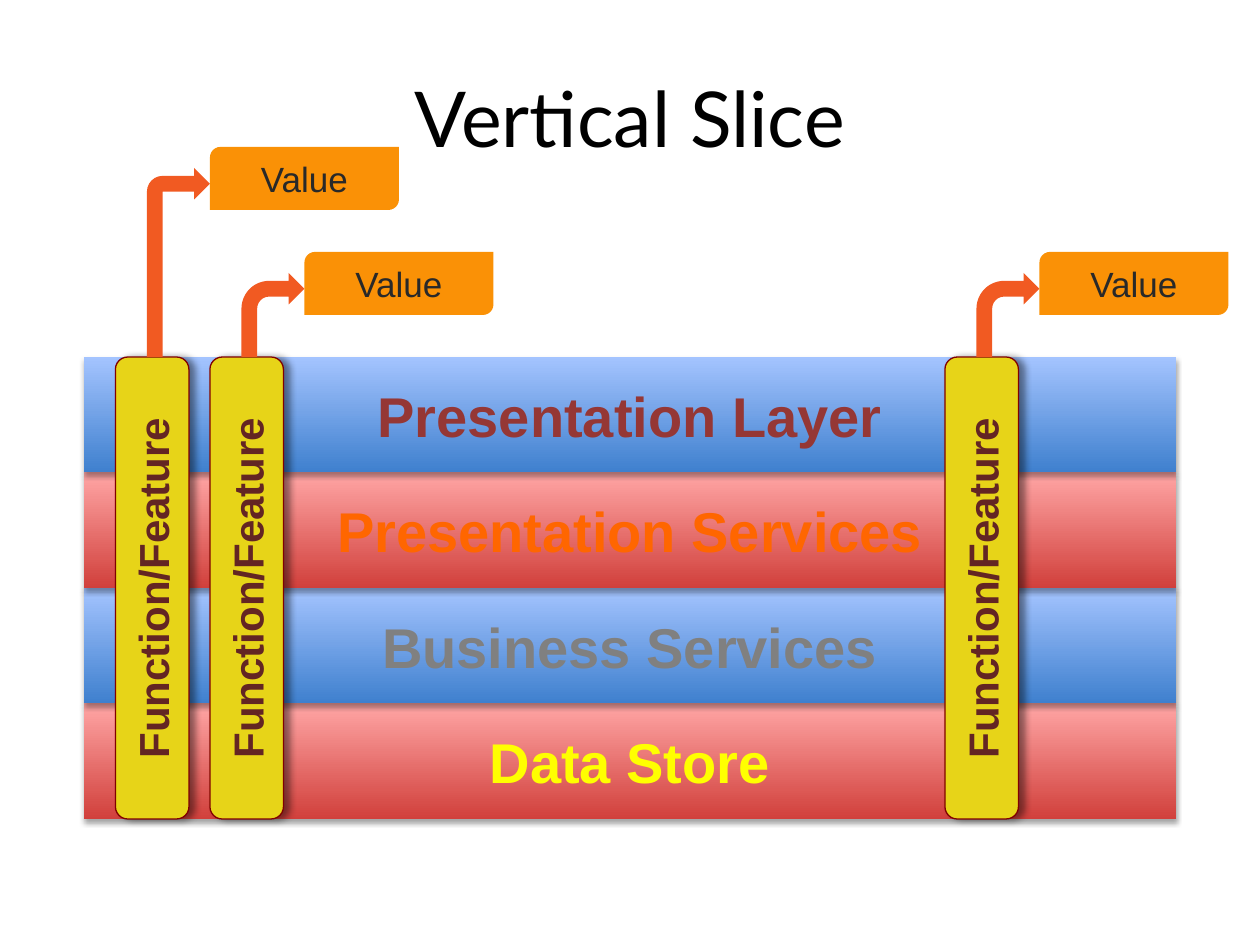
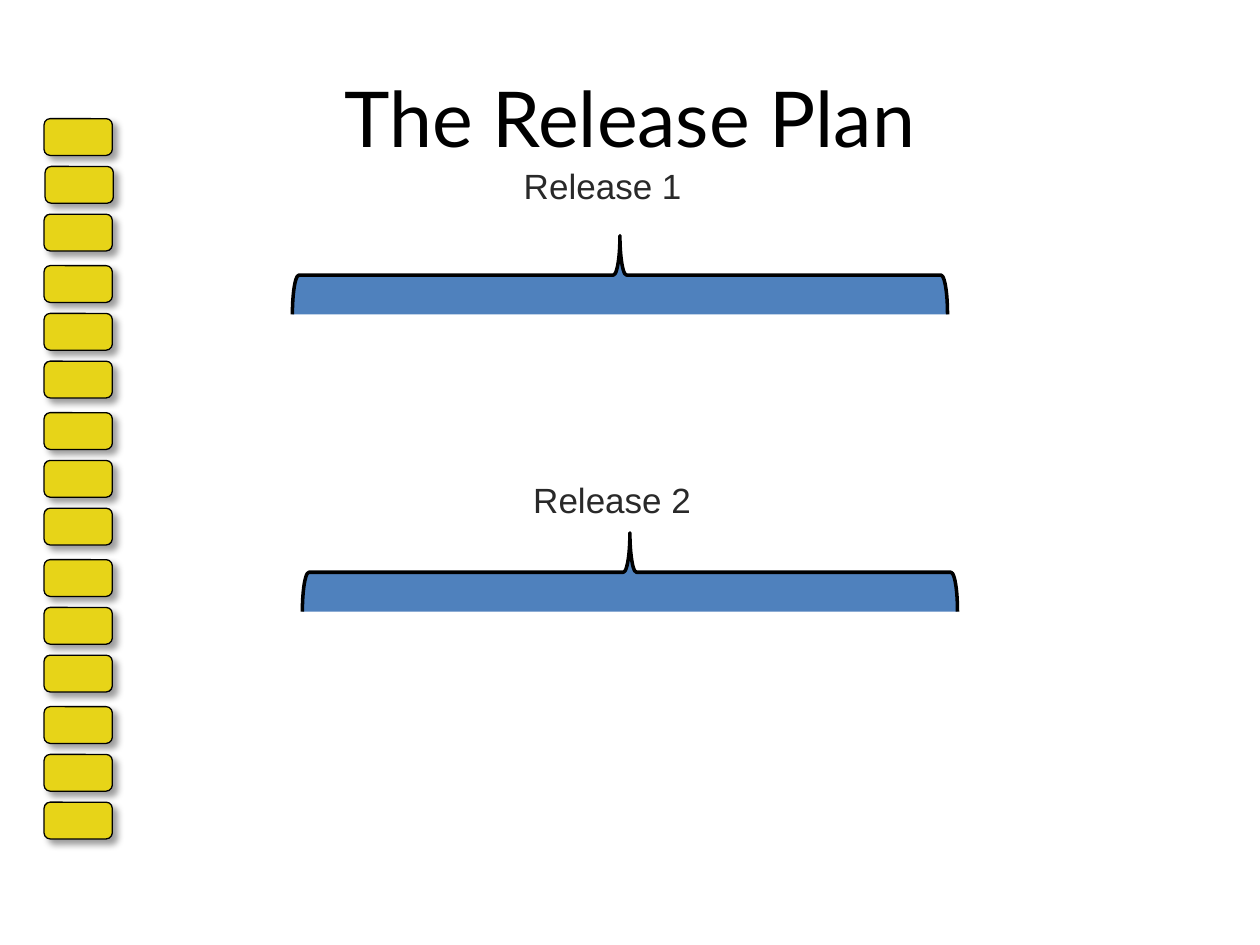
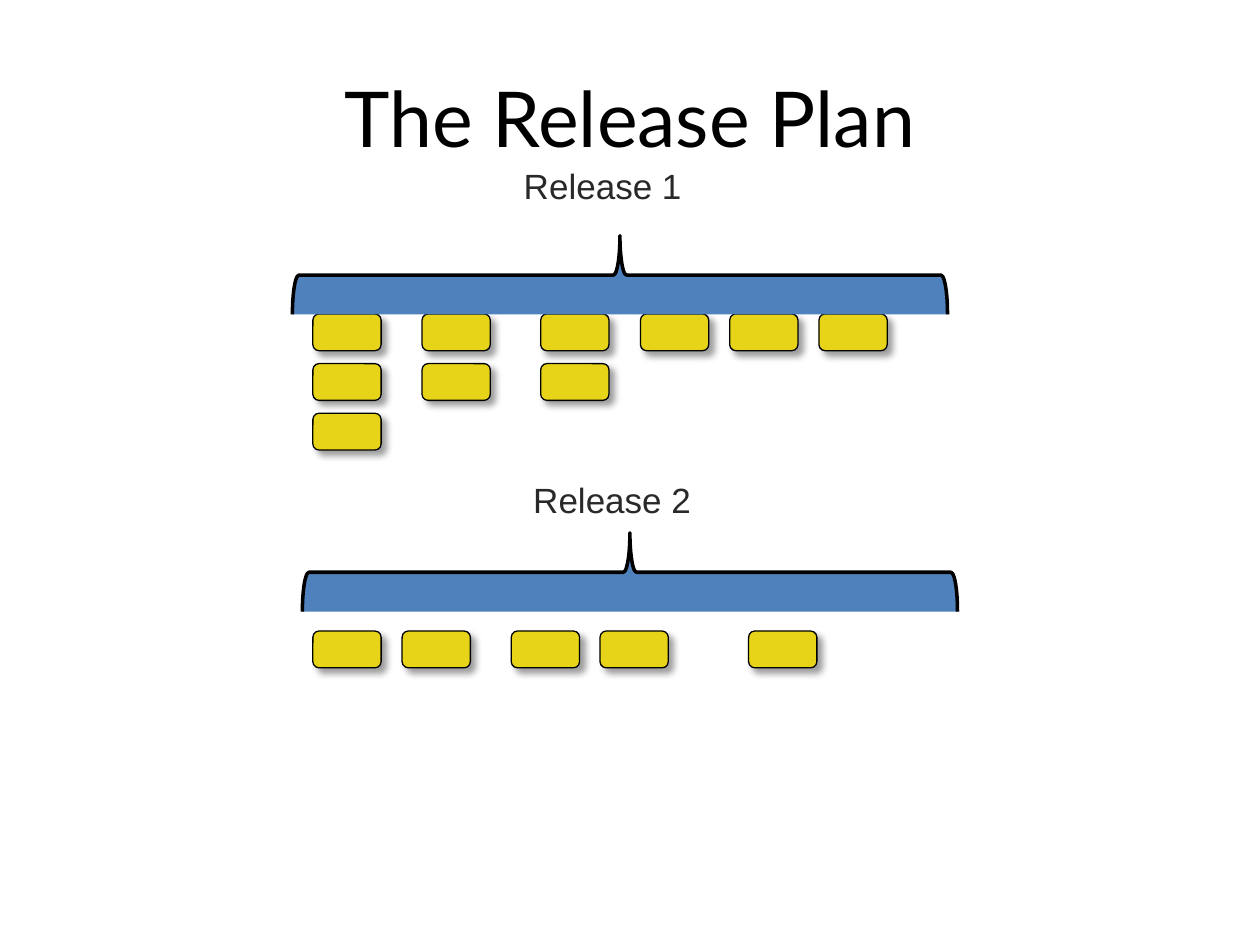
"""Builds three slides on vertical slices and the release plan."""
from lxml.etree import SubElement as Sub
from pptx import Presentation
from pptx.dml.color import RGBColor
from pptx.enum.shapes import MSO_SHAPE as Kind
from pptx.enum.text import MSO_ANCHOR as Anchor, MSO_AUTO_SIZE as Fit, PP_ALIGN as Align
from pptx.oxml.ns import qn
from pptx.util import Inches, Pt

BLACK = RGBColor(0x00, 0x00, 0x00)
INK = RGBColor(0x29, 0x29, 0x29)
GOLD = RGBColor(0xE7, 0xD4, 0x18)
MAROON = RGBColor(0x80, 0x00, 0x00)
BROWN = RGBColor(0x63, 0x25, 0x23)
AMBER = RGBColor(0xFA, 0x91, 0x06)
FLAME = RGBColor(0xF1, 0x5A, 0x22)
STEEL = RGBColor(0x4F, 0x81, 0xBD)
BRICK = RGBColor(0x95, 0x37, 0x35)
ORANGE = RGBColor(0xFF, 0x66, 0x00)
GREY = RGBColor(0x80, 0x80, 0x80)
YELLOW = RGBColor(0xFF, 0xFF, 0x00)
BLUES = RGBColor(0x3F, 0x80, 0xCE), RGBColor(0xA4, 0xC4, 0xFF)
REDS = RGBColor(0xD1, 0x40, 0x3C), RGBColor(0xFF, 0xA6, 0xA5)

COLS, ROWS = 120, 90
CARD_W, CARD_H = 6.5, 3.5


def write(shape, text, size=20, color=INK, font="Arial", bold=False,
          align=Align.CENTER, anchor=Anchor.MIDDLE):
    """Puts formatted text in a shape."""
    frame = shape.text_frame
    frame.word_wrap = True
    frame.vertical_anchor = anchor
    para = frame.paragraphs[0]
    para.alignment = align
    run = para.add_run()
    run.text = text
    run.font.size, run.font.name, run.font.bold = Pt(size), font, bold
    run.font.color.rgb = color
    return frame


class Deck:
    """Holds the style and the current slide."""

    def __init__(self):
        """Opens an empty deck."""
        self.show = Presentation()
        self.show.slide_width, self.show.slide_height = Inches(10), Inches(7.5)
        self.slide = None

    def place(self, col, row, wide, high):
        """Turns grid cells into lengths."""
        dx, dy = self.show.slide_width / COLS, self.show.slide_height / ROWS
        return [round(n) for n in (col * dx, row * dy, wide * dx, high * dy)]

    def page(self, title):
        """Starts a slide with its title."""
        self.slide = self.show.slides.add_slide(self.show.slide_layouts[6])
        write(self.box(6, 3.6, 108, 15), title, size=44, color=BLACK, font="Lato")

    def box(self, *cells):
        """Adds a text box."""
        return self.slide.shapes.add_textbox(*self.place(*cells))

    def shape(self, kind, *cells, fill, line=None, width=0.75, shade=None):
        """Adds a preset shape with a plain or two-tone fill."""
        item = self.slide.shapes.add_shape(kind, *self.place(*cells))
        if isinstance(fill, RGBColor):
            item.fill.solid()
            item.fill.fore_color.rgb = fill
        else:
            item.fill.gradient()
            item.fill.gradient_angle = 90
            for stop, tone in zip(item.fill.gradient_stops, fill):
                stop.color.rgb = tone
        if line is None:
            item.line.fill.background()
        else:
            item.line.color.rgb = line
            item.line.width = Pt(width)
        item.shadow.inherit = False
        if shade:
            self.shade(item, *shade)
        return item

    def shade(self, item, alpha, blur, dist, angle):
        """Gives a shape a soft black shadow."""
        effects = item._element.spPr.find(qn("a:effectLst"))
        outer = Sub(effects, qn("a:outerShdw"), blurRad=str(Pt(blur)),
                    dist=str(Pt(dist)), dir=str(angle * 60000), rotWithShape="0")
        tone = Sub(outer, qn("a:srgbClr"), val=str(BLACK))
        Sub(tone, qn("a:alpha"), val=str(alpha * 1000))

    def layer(self, row, text, color, fill):
        """Adds one wide layer."""
        band = self.shape(Kind.RECTANGLE, 8, row, 104, 11, fill=fill,
                          shade=(35, 3.1, 1.8, 90))
        write(band, text, size=32, color=color, bold=True)

    def feature(self, col):
        """Adds an upright bar across the layers."""
        bar = self.shape(Kind.ROUNDED_RECTANGLE, col, 34, 7, 44, fill=GOLD,
                         line=MAROON, shade=(43, 4, 3, 0))
        frame = write(bar, "Function/Feature", size=24, color=BROWN, bold=True)
        frame.margin_left = frame.margin_right = Inches(0.1)
        frame.margin_top = frame.margin_bottom = Inches(0.1)
        bar._element.txBody.bodyPr.set("vert", "vert270")

    def value(self, col, row, bend):
        """Adds a value tag and the arrow that leads to it from a feature."""
        tag = self.shape(Kind.ROUND_2_DIAG_RECTANGLE, col + 9, row, 18, 6, fill=AMBER)
        write(tag, "Value")
        arrow = self.shape(Kind.BENT_ARROW, col + 3, row + 2, 6, 32 - row, fill=FLAME)
        arrow.adjustments[3] = bend

    def card(self, col, row):
        """Adds a small backlog card."""
        self.shape(Kind.ROUNDED_RECTANGLE, col, row, CARD_W, CARD_H, fill=GOLD,
                   line=BLACK, shade=(38, 4, 4, 45))

    def brace(self, col, row):
        """Adds a brace that opens downwards."""
        item = self.shape(Kind.RIGHT_BRACE, col, row, 7.5, 62.4, fill=STEEL,
                          line=BLACK, width=2)
        item.rotation = 270

    def label(self, col, row, text):
        """Adds a release name."""
        frame = write(self.box(col, row, 20.8, 5.25), text, align=Align.LEFT,
                      anchor=Anchor.TOP)
        frame.auto_size = Fit.SHAPE_TO_FIT_TEXT

    def plan(self, cards):
        """Adds a release plan slide with its cards."""
        self.page("The Release Plan")
        for col, row in cards:
            self.card(col, row)
        self.brace(55.3, -5)
        self.brace(56.25, 23.3)
        self.label(48.7, 15.1, "Release 1")
        self.label(49.6, 45, "Release 2")


def main():
    """Builds and saves the deck."""
    deck = Deck()
    deck.page("Vertical Slice")
    layers = (("Data Store", YELLOW, REDS), ("Business Services", GREY, BLUES),
              ("Presentation Services", ORANGE, REDS), ("Presentation Layer", BRICK, BLUES))
    for i, (text, color, fill) in enumerate(layers):
        deck.layer(67 - 11 * i, text, color, fill)
    slices = ((11, 14, 0.25), (20, 24, 0.44), (90, 24, 0.44))
    for col, _, _ in slices:
        deck.feature(col)
    for col, row, bend in slices:
        deck.value(col, row, bend)

    stack = [(4.3 if (part, i) == (0, 1) else 4.2, 11.3 + 14 * part + 4.55 * i)
             for part in range(5) for i in range(3)]
    deck.plan(stack)

    piles = ((29.8, 3), (40.2, 2), (51.5, 2), (61, 1), (69.5, 1), (78, 1))
    first = [(col, 29.9 + 4.73 * i) for col, count in piles for i in range(count)]
    second = [(col, 60.1) for col in (29.8, 38.3, 48.7, 57.15, 71.3)]
    deck.plan(first + second)
    deck.show.save("out.pptx")


if __name__ == "__main__":
    main()
